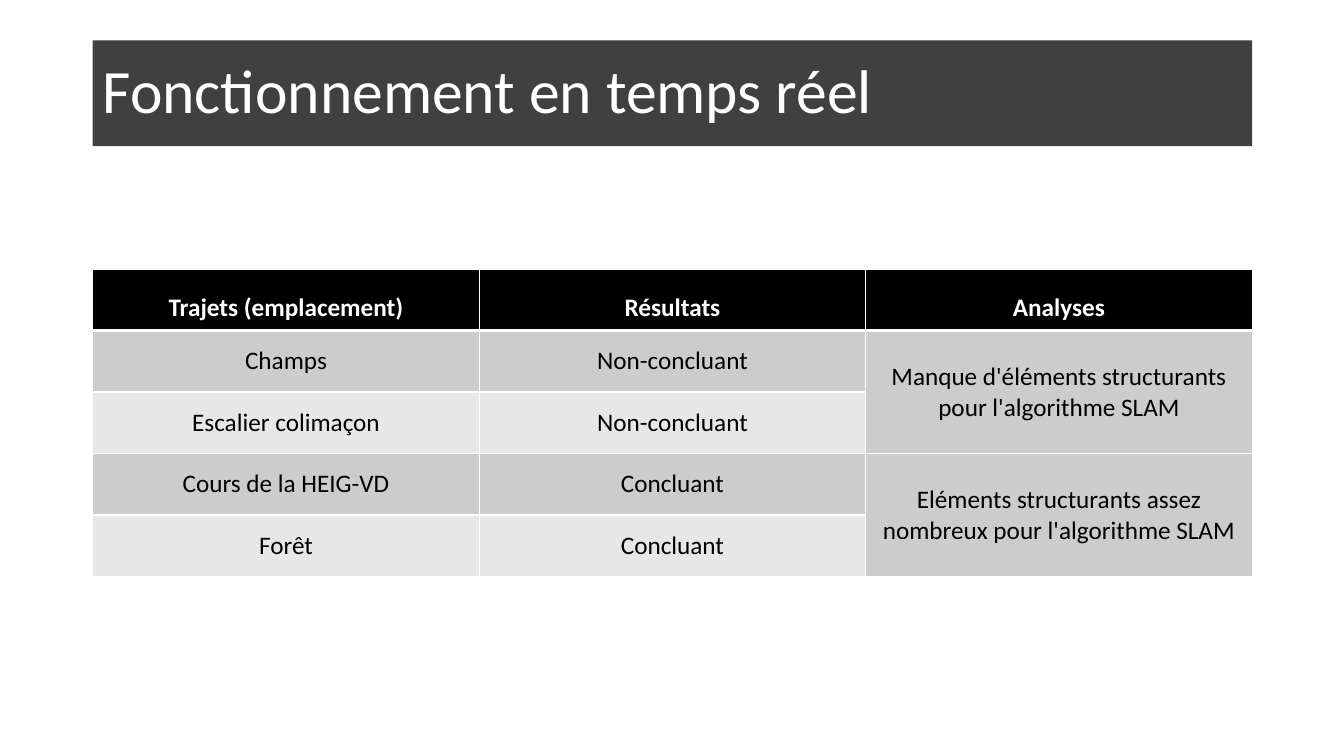
from lxml.etree import SubElement
from pptx import Presentation
from pptx.dml.color import RGBColor
from pptx.enum.shapes import MSO_SHAPE
from pptx.enum.text import MSO_ANCHOR, PP_ALIGN
from pptx.oxml.ns import qn
from pptx.util import Inches, Pt

LEFT, WIDTH = Inches(0.92), Inches(11.5)
ROW_HEIGHT = Inches(0.61)
HEADER_FILL = "000000"
BAND_FILLS = ["CCCCCC", "E7E7E7"]
ROWS = [
    ["Trajets (emplacement)", "Résultats", "Analyses"],
    ["Champs", "Non-concluant", "Manque d'éléments structurants pour l'algorithme SLAM"],
    ["Escalier colimaçon", "Non-concluant", ""],
    ["Cours de la HEIG-VD", "Concluant", "Eléments structurants assez nombreux pour l'algorithme SLAM"],
    ["Forêt", "Concluant", ""],
]


def color(hex_value):
    return RGBColor.from_string(hex_value)


def add_border(cell, side, points):
    """Draw a white line on one side (L, R, T or B); call before filling the cell."""
    properties = cell._tc.get_or_add_tcPr()
    line = SubElement(properties, qn(f"a:ln{side}"), w=str(Pt(points)))
    fill = SubElement(line, qn("a:solidFill"))
    SubElement(fill, qn("a:srgbClr"), val="FFFFFF")


presentation = Presentation()
presentation.slide_width = Inches(13.33)
presentation.slide_height = Inches(7.5)
slide = presentation.slides.add_slide(presentation.slide_layouts[6])

# Title band
title = slide.shapes.add_shape(MSO_SHAPE.RECTANGLE, LEFT, Inches(0.4), WIDTH, Inches(1.05))
title.shadow.inherit = False
title.fill.solid()
title.fill.fore_color.rgb = color("404040")
title.line.fill.background()
title.text_frame.word_wrap = True
title.text_frame.vertical_anchor = MSO_ANCHOR.MIDDLE
paragraph = title.text_frame.paragraphs[0]
paragraph.text = "Fonctionnement en temps réel"
paragraph.alignment = PP_ALIGN.LEFT
paragraph.line_spacing = 0.9
for name, value in {"name": "Calibri", "size": Pt(44)}.items():
    setattr(paragraph.font, name, value)
paragraph.font.color.rgb = color("FFFFFF")

# Results table
table = slide.shapes.add_table(
    len(ROWS), len(ROWS[0]), LEFT, Inches(2.67), WIDTH, ROW_HEIGHT * len(ROWS)
).table
for row_index, texts in enumerate(ROWS):
    is_header = row_index == 0
    table.rows[row_index].height = ROW_HEIGHT
    for column_index, text in enumerate(texts):
        cell = table.cell(row_index, column_index)
        is_analysis = column_index == 2
        borders = {
            "L": 1,
            "R": 1,
            "T": 3 if row_index == 1 else 1,
            "B": 3 if is_header else 1,
        }
        for side, points in borders.items():
            add_border(cell, side, points)

        band = 0 if is_analysis else (row_index - 1) % 2
        cell.fill.solid()
        cell.fill.fore_color.rgb = color(HEADER_FILL if is_header else BAND_FILLS[band])
        cell.vertical_anchor = MSO_ANCHOR.MIDDLE
        if is_header:
            cell.margin_left = cell.margin_right = Inches(0.07)
            cell.margin_top = cell.margin_bottom = 0

        paragraph = cell.text_frame.paragraphs[0]
        paragraph.text = text
        paragraph.alignment = PP_ALIGN.CENTER
        if is_header:
            paragraph.line_spacing = 1.5
        for name, value in {"name": "Calibri", "size": Pt(18), "bold": is_header}.items():
            setattr(paragraph.font, name, value)
        paragraph.font.color.rgb = color("FFFFFF" if is_header else "000000")

# Each analysis covers two rows
for first_row in (1, 3):
    table.cell(first_row, 2).merge(table.cell(first_row + 1, 2))

presentation.save("out.pptx")
